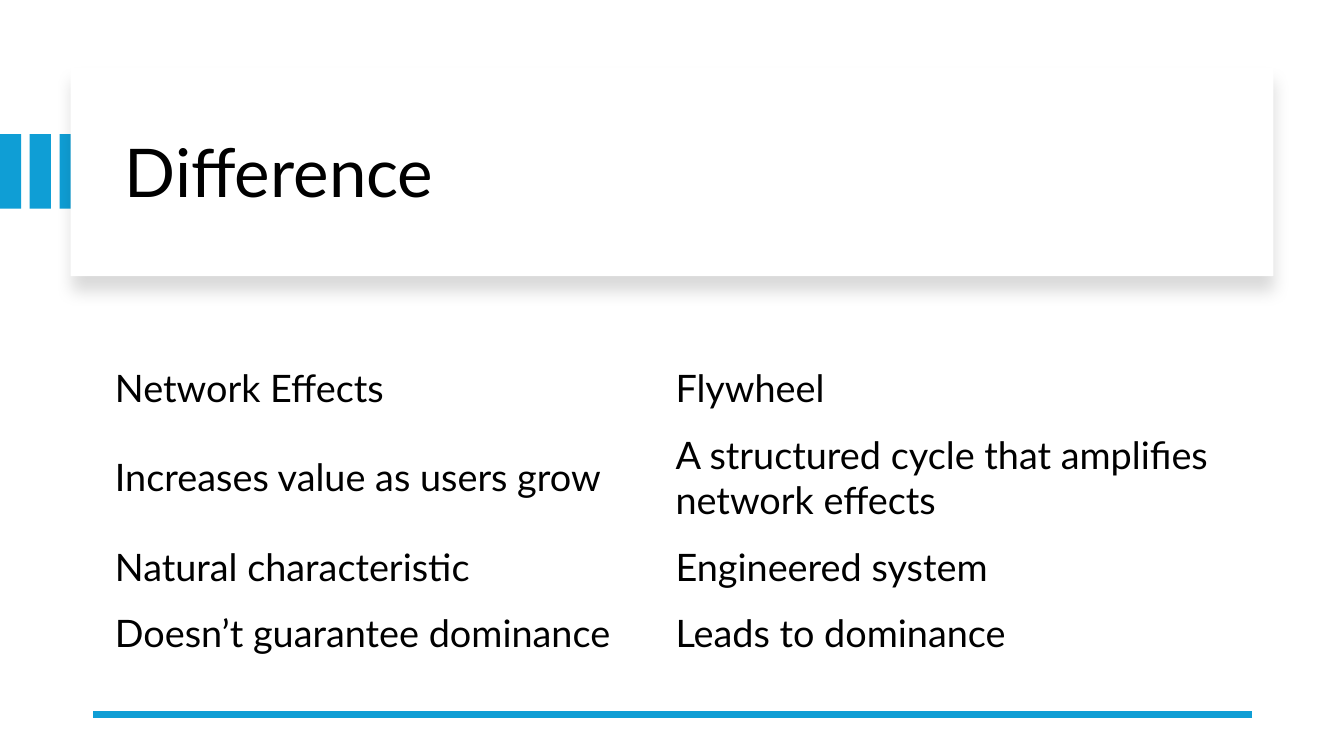
from lxml import etree
from pptx import Presentation
from pptx.dml.color import RGBColor
from pptx.enum.shapes import MSO_CONNECTOR, MSO_SHAPE
from pptx.enum.text import MSO_ANCHOR
from pptx.oxml.ns import qn
from pptx.util import Inches, Pt

RECTANGLE = MSO_SHAPE.RECTANGLE
STRAIGHT = MSO_CONNECTOR.STRAIGHT
MIDDLE = MSO_ANCHOR.MIDDLE

TITLE = "Difference"
COMPARISON = [
    ("Network Effects", "Flywheel"),
    ("Increases value as users grow", "A structured cycle that amplifies network effects"),
    ("Natural characteristic", "Engineered system"),
    ("Doesn’t guarantee dominance", "Leads to dominance"),
]
COLUMN_WIDTHS = [5.56, 5.79]
LINE_HEIGHT, ROW_PADDING = 0.45, 0.21
ROW_LINES = [1, 2, 1, 1]

COLORS = {"accent": "0F9ED5", "text": "000000", "card": "FFFFFF", "shadow": "000000"}
FONT = "Lato"
STRIPE_COUNT, STRIPE_PITCH = 3, 0.295


def rgb(name):
    return RGBColor.from_string(COLORS[name])


def write(frame, text, size, color="text", line_spacing=None):
    frame.word_wrap = True
    paragraph = frame.paragraphs[0]
    if line_spacing:
        paragraph.line_spacing = line_spacing
    run = paragraph.add_run()
    run.text = text
    run.font.name = FONT
    run.font.size = Pt(size)
    run.font.bold = False
    run.font.color.rgb = rgb(color)


def add_block(slide, left, top, width, height, color):
    block = slide.shapes.add_shape(
        RECTANGLE, Inches(left), Inches(top), Inches(width), Inches(height))
    block.shadow.inherit = False
    block.fill.solid()
    block.fill.fore_color.rgb = rgb(color)
    block.line.fill.background()
    return block


def add_soft_shadow(block):
    """Cast a blurred shadow straight down from the block."""
    effects = block._element.spPr.find(qn("a:effectLst"))
    shadow = etree.SubElement(
        effects, qn("a:outerShdw"), blurRad=str(Pt(11)), dist=str(Pt(10)),
        dir="5400000", algn="t", rotWithShape="0")
    color = etree.SubElement(shadow, qn("a:srgbClr"), val=COLORS["shadow"])
    etree.SubElement(color, qn("a:alpha"), val="15000")


def add_header(slide):
    for index in range(STRIPE_COUNT):
        add_block(slide, index * STRIPE_PITCH, 1.33, 0.21, 0.74, "accent")
    add_soft_shadow(add_block(slide, 0.7, 0.67, 11.93, 2.07, "card"))
    title = slide.shapes.add_textbox(
        Inches(1.14), Inches(0.89), Inches(11.13), Inches(1.7))
    title.text_frame.vertical_anchor = MIDDLE
    write(title.text_frame, TITLE, 48, line_spacing=0.9)


def add_footer_line(slide):
    rule = slide.shapes.add_connector(
        STRAIGHT, Inches(12.42), Inches(7.09), Inches(0.92), Inches(7.09))
    rule.line.color.rgb = rgb("accent")
    rule.line.width = Pt(4.5)
    etree.SubElement(rule._element.spPr, qn("a:effectLst"))


def add_comparison(slide):
    heights = [lines * LINE_HEIGHT + ROW_PADDING for lines in ROW_LINES]
    table = slide.shapes.add_table(
        len(COMPARISON), len(COLUMN_WIDTHS), Inches(0.99), Inches(3.52),
        Inches(sum(COLUMN_WIDTHS)), Inches(sum(heights))).table
    table.first_row = False
    table.horz_banding = False
    for column, width in zip(table.columns, COLUMN_WIDTHS):
        column.width = Inches(width)
    for row, height, texts in zip(table.rows, heights, COMPARISON):
        row.height = Inches(height)
        for cell, text in zip(row.cells, texts):
            cell.fill.background()
            cell.vertical_anchor = MIDDLE
            cell.margin_left = cell.margin_right = Inches(0.15)
            cell.margin_top = cell.margin_bottom = Inches(0.07)
            write(cell.text_frame, text, 27)


def main():
    deck = Presentation()
    deck.slide_width, deck.slide_height = Inches(13.33), Inches(7.5)
    slide = deck.slides.add_slide(deck.slide_layouts[6])
    add_header(slide)
    add_footer_line(slide)
    add_comparison(slide)
    deck.save("out.pptx")


if __name__ == "__main__":
    main()
